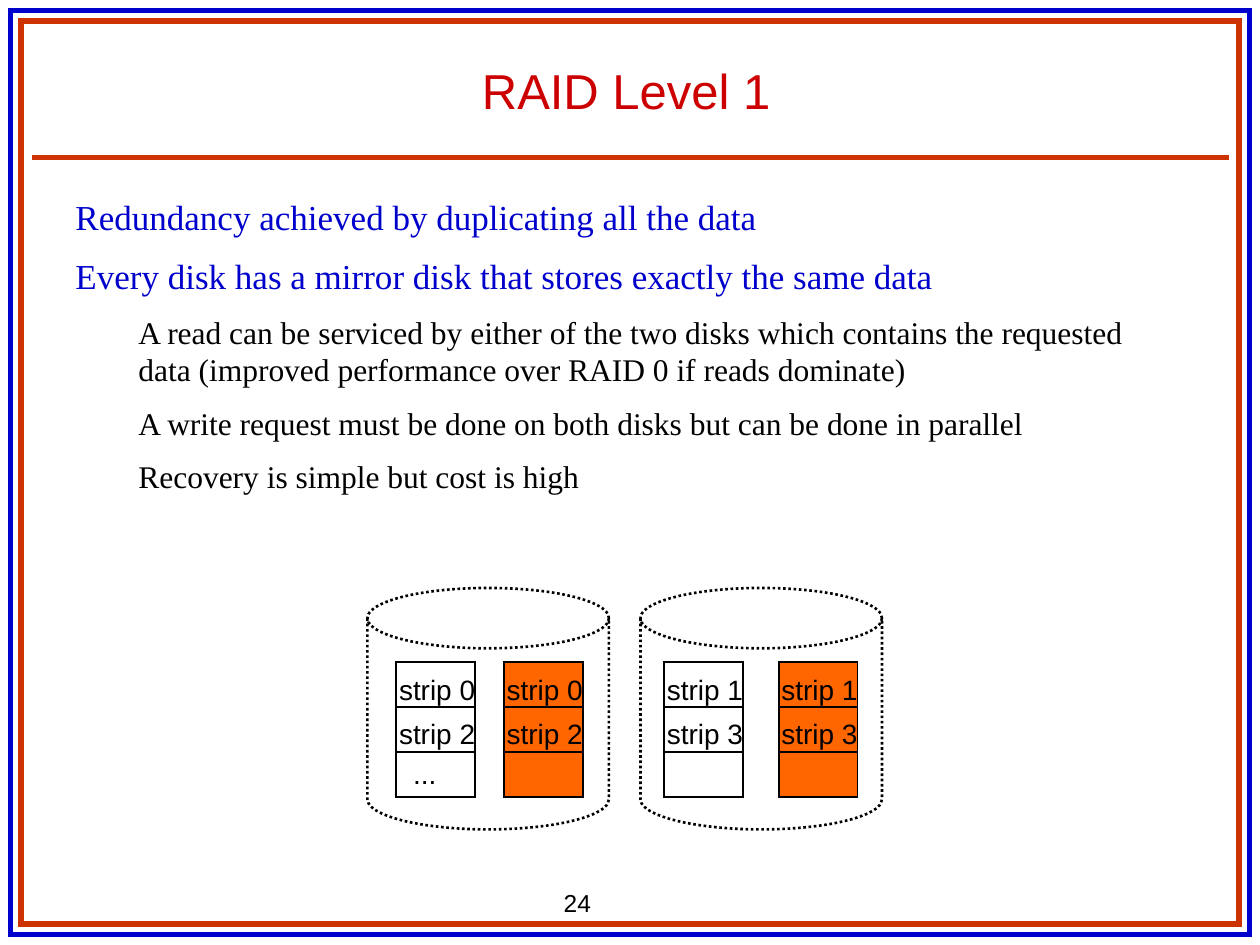
from lxml.etree import SubElement
from pptx import Presentation
from pptx.dml.color import RGBColor as RGB
from pptx.enum.dml import MSO_LINE
from pptx.enum.shapes import MSO_CONNECTOR, MSO_SHAPE
from pptx.enum.text import MSO_ANCHOR, MSO_AUTO_SIZE, PP_ALIGN
from pptx.oxml.ns import qn
from pptx.util import Pt

COLORS = {
    "blue": "0000CC",
    "rust": "CC3300",
    "red": "CC0000",
    "orange": "FF6600",
    "white": "FFFFFF",
    "black": "000000",
}


def color(name):
    return RGB.from_string(COLORS[name])


def add_text(s, box, paragraphs, font="Arial", size=16, fill="black",
             align=PP_ALIGN.LEFT, anchor=MSO_ANCHOR.TOP, wrap=False):
    tf = s.shapes.add_textbox(*map(Pt, box)).text_frame
    tf.word_wrap = wrap
    tf.auto_size = MSO_AUTO_SIZE.NONE if wrap else MSO_AUTO_SIZE.SHAPE_TO_FIT_TEXT
    tf.vertical_anchor = anchor
    if isinstance(paragraphs, str):
        paragraphs = [{"text": paragraphs}]
    for i, item in enumerate(paragraphs):
        p = tf.paragraphs[0] if i == 0 else tf.add_paragraph()
        p.alignment = align
        if "indent" in item:
            p.level = 1
            pPr = p._p.get_or_add_pPr()
            pPr.set("marL", str(Pt(item["indent"])))
            pPr.set("indent", "0")
        if i:
            p.space_before = Pt(item.get("before", 0))
        r = p.add_run()
        r.text = item["text"]
        r.font.name = font
        r.font.size = Pt(item.get("size", size))
        r.font.color.rgb = color(item.get("fill", fill))


def add_box(s, kind, box, line, width, fill=None, dash=None):
    sp = s.shapes.add_shape(kind, *map(Pt, box))
    sp.shadow.inherit = False
    if fill:
        sp.fill.solid()
        sp.fill.fore_color.rgb = color(fill)
    else:
        sp.fill.background()
    sp.line.color.rgb = color(line)
    sp.line.width = Pt(width)
    if dash:
        sp.line.dash_style = dash
    SubElement(sp.line._ln, qn("a:miter"), lim="800000")
    return sp


def add_rule(s, x, y, length, line, width):
    c = s.shapes.add_connector(MSO_CONNECTOR.STRAIGHT, Pt(x), Pt(y), Pt(x + length), Pt(y))
    c.line.color.rgb = color(line)
    c.line.width = Pt(width)
    SubElement(c._element.spPr, qn("a:effectLst"))


def add_frame(s, x, y, w, h):
    for inset, line in ((6, "blue"), (12, "rust")):
        box = (x + inset, y + inset, w - 2 * inset, h - 2 * inset)
        add_box(s, MSO_SHAPE.RECTANGLE, box, line, 3)
    add_rule(s, x + 18, y + 90, w - 36, "rust", 3)
    add_text(s, (x + 315, y + 504, 78.5, 24.5), "24", size=14)


def add_body(s, box):
    main = {"size": 20, "fill": "blue", "before": 10}
    sub = {"size": 18, "indent": 36, "before": 9}
    add_text(s, box, [
        {"text": "Redundancy achieved by duplicating all the data", **main},
        {"text": "Every disk has a mirror disk that stores exactly the same data", **main},
        {"text": "A read can be serviced by either of the two disks which contains the "
                 "requested data (improved performance over RAID 0 if reads dominate)", **sub},
        {"text": "A write request must be done on both disks but can be done in parallel", **sub},
        {"text": "Recovery is simple but cost is high", **sub},
    ], font="Times New Roman", wrap=True)


def add_strips(s, x, y, w, h, labels, fill):
    add_box(s, MSO_SHAPE.RECTANGLE, (x, y, w, h), "black", 1, fill)
    for row in (1, 2):
        add_rule(s, x, y + row * h / 3, w, "black", 1)
    for label, top in zip(labels, (2, 27.5, 50.5)):
        left, width = (2.5, 27.5) if label == "..." else (-5.5, 58)
        add_text(s, (x + left, y + top, width, 26), label)


def add_disk_pair(s, x, y, size, columns):
    for offset, fill, labels in columns:
        add_strips(s, x + offset, y + 42.5, 45, 77, labels, fill)
    can = add_box(s, MSO_SHAPE.CAN, (x, y, size, size), "black", 1.5,
                  dash=MSO_LINE.ROUND_DOT)
    can.adjustments[0] = 0.25


def main():
    prs = Presentation()
    prs.slide_width, prs.slide_height = Pt(720), Pt(540)
    s = prs.slides.add_slide(prs.slide_layouts[6])
    add_frame(s, 0, 0, 720, 540)
    add_text(s, (31.5, 18, 652.5, 54), "RAID Level 1", size=28, fill="red",
             align=PP_ALIGN.CENTER, anchor=MSO_ANCHOR.BOTTOM, wrap=True)
    add_body(s, (36, 108, 643.5, 178.5))
    add_disk_pair(s, 210, 336, 138, [
        (16.5, "white", ("strip 0", "strip 2", "...")),
        (78, "orange", ("strip 0", "strip 2")),
    ])
    add_disk_pair(s, 366, 336, 138, [
        (13.5, "white", ("strip 1", "strip 3")),
        (79, "orange", ("strip 1", "strip 3")),
    ])
    prs.save("out.pptx")


if __name__ == "__main__":
    main()
